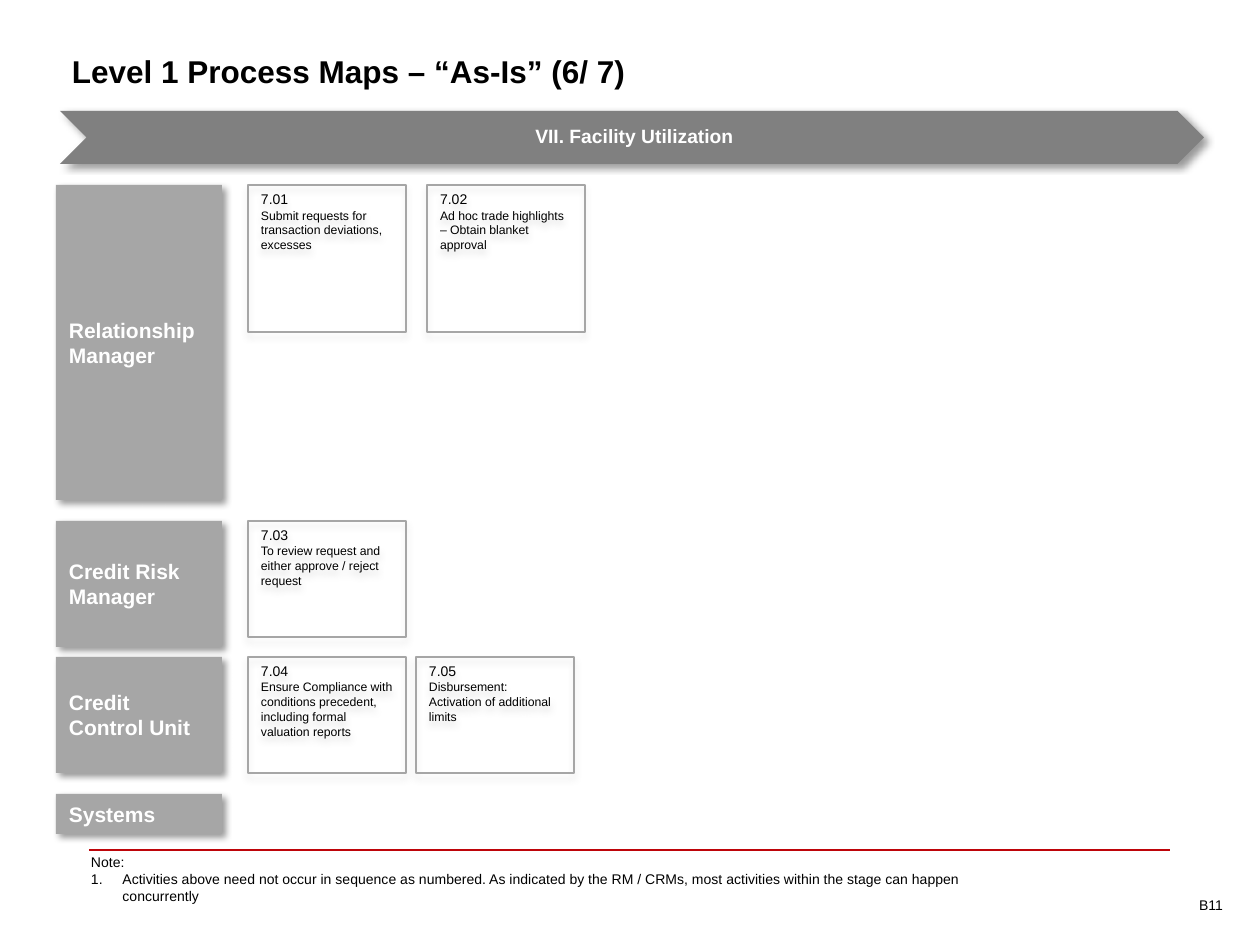
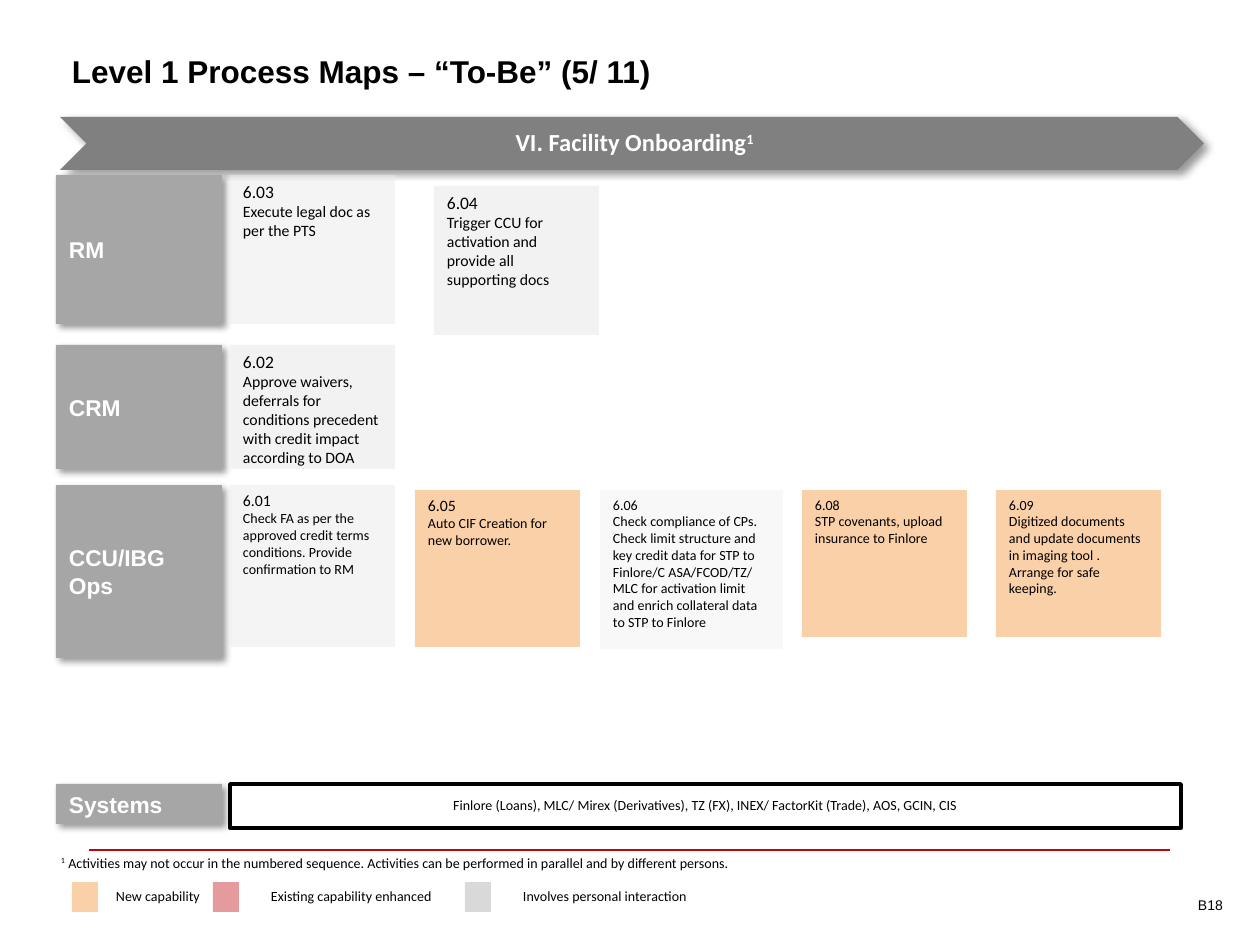
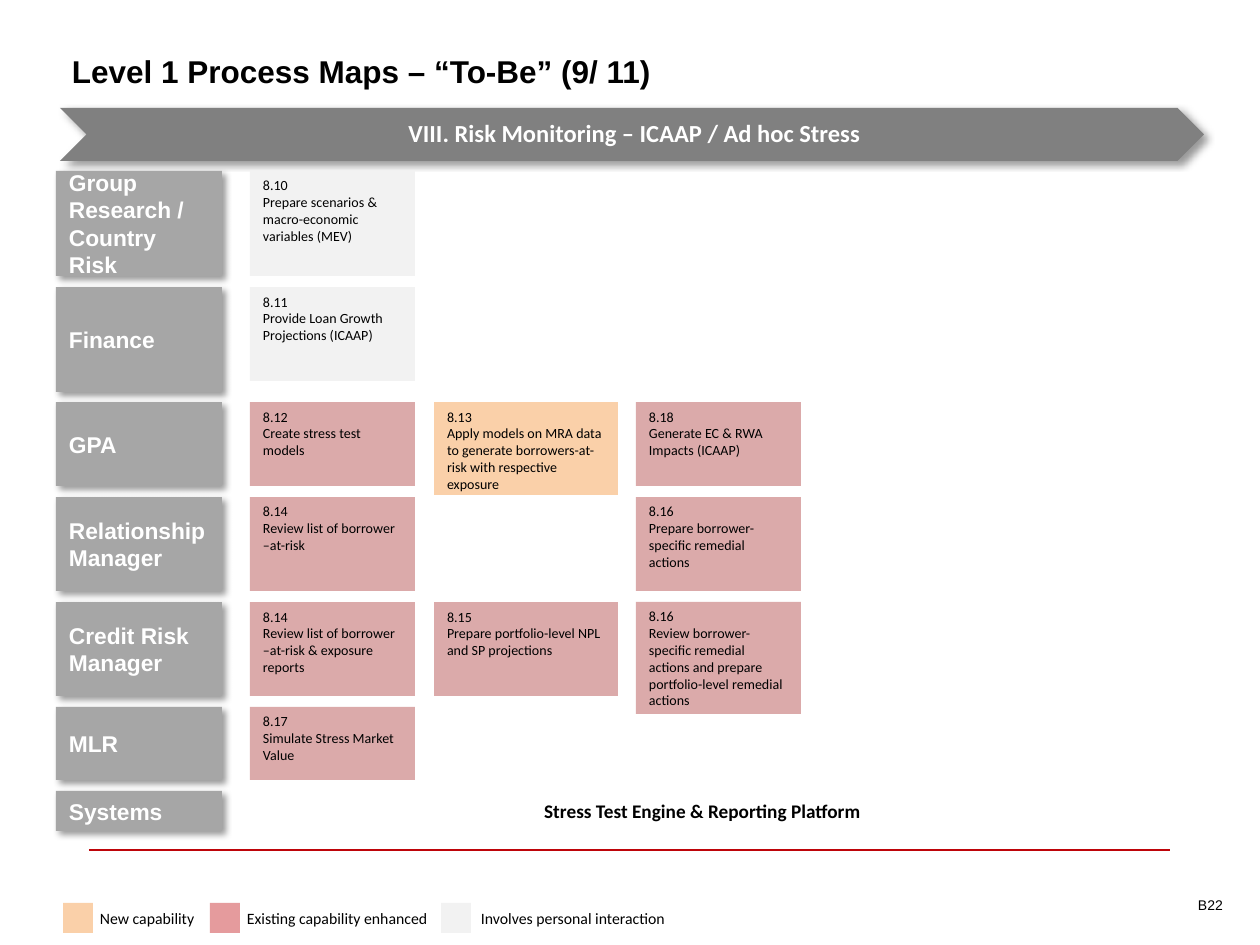
from dataclasses import dataclass
from typing import NamedTuple

from lxml import etree
from pptx import Presentation
from pptx.dml.color import RGBColor
from pptx.enum.shapes import MSO_CONNECTOR, MSO_SHAPE
from pptx.enum.text import MSO_ANCHOR, PP_ALIGN
from pptx.oxml.ns import qn
from pptx.util import Emu, Pt

RECT, CHEVRON = MSO_SHAPE.RECTANGLE, MSO_SHAPE.CHEVRON
STRAIGHT = MSO_CONNECTOR.STRAIGHT
TOP, MIDDLE = MSO_ANCHOR.TOP, MSO_ANCHOR.MIDDLE
LEFT, CENTER, RIGHT = PP_ALIGN.LEFT, PP_ALIGN.CENTER, PP_ALIGN.RIGHT
EMU_PER_PX = 914400 / 126
INSETS = (13, 6, 13, 6)


@dataclass(frozen=True)
class Theme:
    sans: str = "Arial"
    alt: str = "Calibri"
    black: str = "000000"
    white: str = "FFFFFF"
    band: str = "808080"
    lane: str = "A6A6A6"
    rule: str = "BE050A"
    new: str = "FAD0A9"
    enhanced: str = "DBAAAA"
    enhanced_key: str = "E59B9D"
    personal: str = "F2F2F2"
    personal_key: str = "D9D9D9"
    pale: str = "EAEAEA"
    title_size: int = 18
    band_size: int = 14
    system_size: int = 11
    small_size: int = 8


T = Theme()


class Box(NamedTuple):
    x: int
    y: int
    w: int
    h: int


class Card(NamedTuple):
    dx: int
    w: int
    h: int
    fill: str | None
    lines: list
    sizes: tuple = (8, 8)
    dy: int = 0
    alpha: int = 100


class Lane(NamedTuple):
    label: str
    top: int
    h: int
    cards: list = []


TITLE = Box(59, 30, 1143, 82)
PAGE = Box(1089, 878, 147, 53)
LANE_X, LANE_W = 56, 166


def px(n):
    return Emu(round(n * EMU_PER_PX))


def rgb(color):
    return RGBColor.from_string(color)


def write(sp, lines, sizes, font=T.sans, color=T.black, bold=False,
          align=LEFT, anchor=TOP, insets=INSETS, wrap=True):
    tf = sp.text_frame
    tf.word_wrap = wrap
    tf.vertical_anchor = anchor
    tf.margin_left, tf.margin_top, tf.margin_right, tf.margin_bottom = map(px, insets)
    for i, line in enumerate(lines):
        p = tf.paragraphs[0] if i == 0 else tf.add_paragraph()
        p.alignment = align
        first, *rest = line.split("|")
        p.text = first
        for part in rest:
            p.add_run().text = part
        for r in p.runs:
            r.font.name = font
            r.font.size = Pt(sizes[min(i, len(sizes) - 1)])
            r.font.bold = bold
            r.font.color.rgb = rgb(color)
            if r.text == "1":
                r._r.get_or_add_rPr().set("baseline", "30000")
    return tf


def add_text(slide, box, lines, sizes, **style):
    sp = slide.shapes.add_textbox(*map(px, box))
    return write(sp, lines, sizes, **style)


def add_box(slide, box, fill=None, line=None, weight=0.75, kind=RECT, alpha=100):
    sp = slide.shapes.add_shape(kind, *map(px, box))
    sp.shadow.inherit = False
    if fill:
        sp.fill.solid()
        sp.fill.fore_color.rgb = rgb(fill)
        if alpha < 100:
            clr = sp._element.spPr.find(qn("a:solidFill"))[0]
            etree.SubElement(clr, qn("a:alpha"), val=str(alpha * 1000))
    else:
        sp.fill.background()
    if line:
        sp.line.color.rgb = rgb(line)
        sp.line.width = Pt(weight)
    else:
        sp.line.fill.background()
    return sp


def add_shadow(sp, color, angle):
    effects = sp._element.spPr.find(qn("a:effectLst"))
    shadow = etree.SubElement(effects, qn("a:outerShdw"), blurRad=str(Pt(4)),
                              dist=str(Pt(3)), dir=str(angle * 60000),
                              algn="tl", rotWithShape="0")
    clr = etree.SubElement(shadow, qn("a:srgbClr"), val=color)
    etree.SubElement(clr, qn("a:alpha"), val="40000")


def add_base(prs, title, page):
    slide = prs.slides.add_slide(prs.slide_layouts[5])
    sp = slide.shapes.title
    sp.left, sp.top, sp.width, sp.height = map(px, TITLE)
    write(sp, [title], [T.title_size], bold=True, anchor=MIDDLE)
    rule = slide.shapes.add_connector(STRAIGHT, px(89), px(850), px(1170), px(850))
    rule.line.color.rgb = rgb(T.rule)
    rule.line.width = Pt(1.5)
    etree.SubElement(rule._element.spPr, qn("a:effectLst"))
    add_text(slide, PAGE, [page], [T.small_size], align=RIGHT, anchor=MIDDLE)
    return slide


def add_band(slide, top, text, font=T.alt, size=T.band_size):
    box = Box(60, top, 1144, 53)
    add_shadow(add_box(slide, box, T.band, kind=CHEVRON), T.black, 45)
    label = Box(box.x + 27, box.y, box.w - 53, box.h)
    tf = add_text(slide, label, [text], [size], font=font, color=T.white, bold=True,
                  align=CENTER, anchor=MIDDLE, insets=(7, 3, 3, 3))
    tf.paragraphs[0].line_spacing = 0.9


def add_card(slide, box, card, font):
    sp = add_box(slide, box, card.fill, None if card.fill else T.lane, alpha=card.alpha)
    if not card.fill:
        add_shadow(sp, T.lane, 90)
    write(sp, card.lines, card.sizes, font=font)


def add_lane(slide, box, lane, size, font):
    sp = add_box(slide, box, T.lane)
    add_shadow(sp, T.black, 45)
    write(sp, [lane.label], [size], color=T.white, bold=True, anchor=MIDDLE)
    for card in lane.cards:
        add_card(slide, Box(box.x + card.dx, box.y + card.dy, card.w, card.h), card, font)


def add_lanes(slide, lanes, size=13, font=T.alt):
    for lane in lanes:
        add_lane(slide, Box(LANE_X, lane.top, LANE_W, lane.h), lane, size, font)


def add_legend(slide, top, side, size, entries):
    for color, text, x, text_x, w in entries:
        add_box(slide, Box(x, top, side, 30), color)
        add_text(slide, Box(text_x, top, w, 30), [text], [size], font=T.alt,
                 insets=(0, 6, 0, 6), wrap=False)


def add_utilization(prs):
    slide = add_base(prs, "Level 1 Process Maps – “As-Is” (6/ 7)", "B11")
    add_band(slide, 111, "VII. Facility Utilization", T.sans, 11)

    def step(dx, h, *lines):
        return Card(dx, 158, h, None, lines, (8, 7))

    add_lanes(slide, [
        Lane("Relationship Manager", 185, 315, [
            step(192, 147, "7.01", "Submit requests for transaction deviations, excesses"),
            step(371, 147, "7.02", "Ad hoc trade highlights – Obtain blanket approval")]),
        Lane("Credit Risk Manager", 521, 126, [
            step(192, 116, "7.03", "To review request and either approve / reject request")]),
        Lane("Credit Control Unit", 657, 116, [
            step(192, 116, "7.04", "Ensure Compliance with conditions precedent, "
                 "including formal valuation reports"),
            step(360, 116, "7.05", "Disbursement: Activation of additional limits")]),
        Lane("Systems", 794, 40),
    ], 12, T.sans)
    tf = add_text(slide, Box(78, 848, 941, 63), [
        "Note:",
        "Activities above need not occur in sequence as numbered. As indicated by the "
        "RM / CRMs, most activities within the stage can happen concurrently",
    ], [T.small_size])
    pPr = tf.paragraphs[1]._p.get_or_add_pPr()
    pPr.set("marL", "228600")
    pPr.set("indent", "-228600")
    etree.SubElement(pPr, qn("a:buFont"), typeface="+mj-lt")
    etree.SubElement(pPr, qn("a:buAutoNum"), type="arabicPeriod")


def add_onboarding(prs):
    slide = add_base(prs, "Level 1 Process Maps – “To-Be” (5/ 11)", "B18")
    add_band(slide, 117, "VI. Facility Onboarding|1")
    large, medium, small = (10, 9), (9, 8), (8, 8)
    add_lanes(slide, [
        Lane("RM", 175, 149, [
            Card(174, 165, 149, T.pale, ["6.03", "Execute legal doc as per the PTS"],
                 large, alpha=50),
            Card(378, 165, 149, T.personal,
                 ["6.04", "Trigger CCU for activation and provide all supporting docs"],
                 large, 11)]),
        Lane("CRM", 345, 124, [
            Card(174, 165, 124, T.personal,
                 ["6.02", "Approve waivers, deferrals for conditions precedent with "
                  "credit impact according to DOA"], large)]),
        Lane("CCU/IBG Ops", 485, 173, [
            Card(174, 165, 162, T.pale,
                 ["6.01", "Check FA as per the approved credit terms conditions. "
                  "Provide confirmation to RM"], medium, alpha=50),
            Card(359, 165, 157, T.new, ["6.05", "Auto CIF Creation for new borrower."],
                 medium, 5),
            Card(544, 183, 159, T.personal,
                 ["6.06", "Check compliance of CPs. Check limit structure and key credit "
                  "data for STP to Finlore/C ASA/FCOD/TZ/",
                  "MLC for activation limit and enrich collateral data to STP to Finlore"],
                 small, 5, 50),
            Card(746, 165, 147, T.new,
                 ["6.08", "STP covenants, upload insurance to Finlore"], small, 5),
            Card(940, 165, 147, T.new,
                 ["6.09", "Digitized documents and update documents in imaging tool . "
                  "Arrange for safe keeping."], small, 5)]),
        Lane("Systems", 784, 40),
    ])
    sp = add_box(slide, Box(230, 784, 951, 44), line=T.black, weight=2)
    write(sp, ["Finlore (Loans), MLC/ Mirex (Derivatives), TZ (FX), INEX/ FactorKit (Trade), "
               "AOS, GCIN, CIS"], [T.small_size], font=T.alt, align=CENTER,
          anchor=MIDDLE, insets=(13, 4, 13, 6))
    add_text(slide, Box(48, 848, 732, 30), [
        "1| Activities may not occur in the numbered sequence. Activities can be performed "
        "in parallel and by different persons."], [T.small_size], font=T.alt)
    add_legend(slide, 882, 26, 8, [
        (T.new, "New capability", 72, 116, 96),
        (T.enhanced_key, "Existing capability enhanced", 213, 271, 169),
        (T.personal_key, "Involves personal interaction", 465, 523, 169)])


def add_monitoring(prs):
    slide = add_base(prs, "Level 1 Process Maps – “To-Be” (9/ 11)", "B22")
    add_band(slide, 108, "VIII. Risk Monitoring – ICAAP / Ad hoc Stress")
    columns = [(194, 165), (378, 184), (580, 165)]

    def step(column, h, fill, *lines):
        return Card(*columns[column], h, fill, lines)

    add_lanes(slide, [
        Lane("Group Research / Country Risk", 171, 105, [
            step(0, 105, T.personal, "8.10",
                 "Prepare scenarios & macro-economic variables (MEV)")]),
        Lane("Finance", 287, 105, [
            step(0, 94, T.personal, "8.11", "Provide Loan Growth Projections (ICAAP)")]),
        Lane("GPA", 402, 84, [
            step(0, 84, T.enhanced, "8.12", "Create stress test models"),
            step(1, 93, T.new, "8.13", "Apply models on MRA data to generate "
                 "borrowers-at-risk with respective exposure"),
            step(2, 84, T.enhanced, "8.18", "Generate EC & RWA Impacts (ICAAP)")]),
        Lane("Relationship Manager", 497, 94, [
            step(0, 94, T.enhanced, "8.14", "Review list of borrower –at-risk"),
            step(2, 94, T.enhanced, "8.16", "Prepare borrower-specific remedial actions")]),
        Lane("Credit Risk Manager", 602, 94, [
            step(0, 94, T.enhanced, "8.14",
                 "Review list of borrower –at-risk & exposure reports"),
            step(1, 94, T.enhanced, "8.15",
                 "Prepare portfolio-level NPL and SP projections"),
            step(2, 112, T.enhanced, "8.16", "Review borrower-specific remedial actions "
                 "and prepare portfolio-level remedial actions")]),
        Lane("MLR", 707, 73, [
            step(0, 73, T.enhanced, "8.17", "Simulate Stress Market Value")]),
        Lane("Systems", 791, 40),
    ])
    add_text(slide, Box(241, 793, 923, 37), ["Stress Test Engine & Reporting Platform"],
             [T.system_size], font=T.alt, bold=True, align=CENTER)
    add_legend(slide, 903, 30, 9, [
        (T.new, "New capability", 63, 100, 100),
        (T.enhanced_key, "Existing capability enhanced", 210, 247, 184),
        (T.personal, "Involves personal interaction", 441, 481, 198)])


def main():
    prs = Presentation()
    prs.slide_width, prs.slide_height = px(1260), px(945)
    add_utilization(prs)
    add_onboarding(prs)
    add_monitoring(prs)
    prs.save("out.pptx")


if __name__ == "__main__":
    main()
